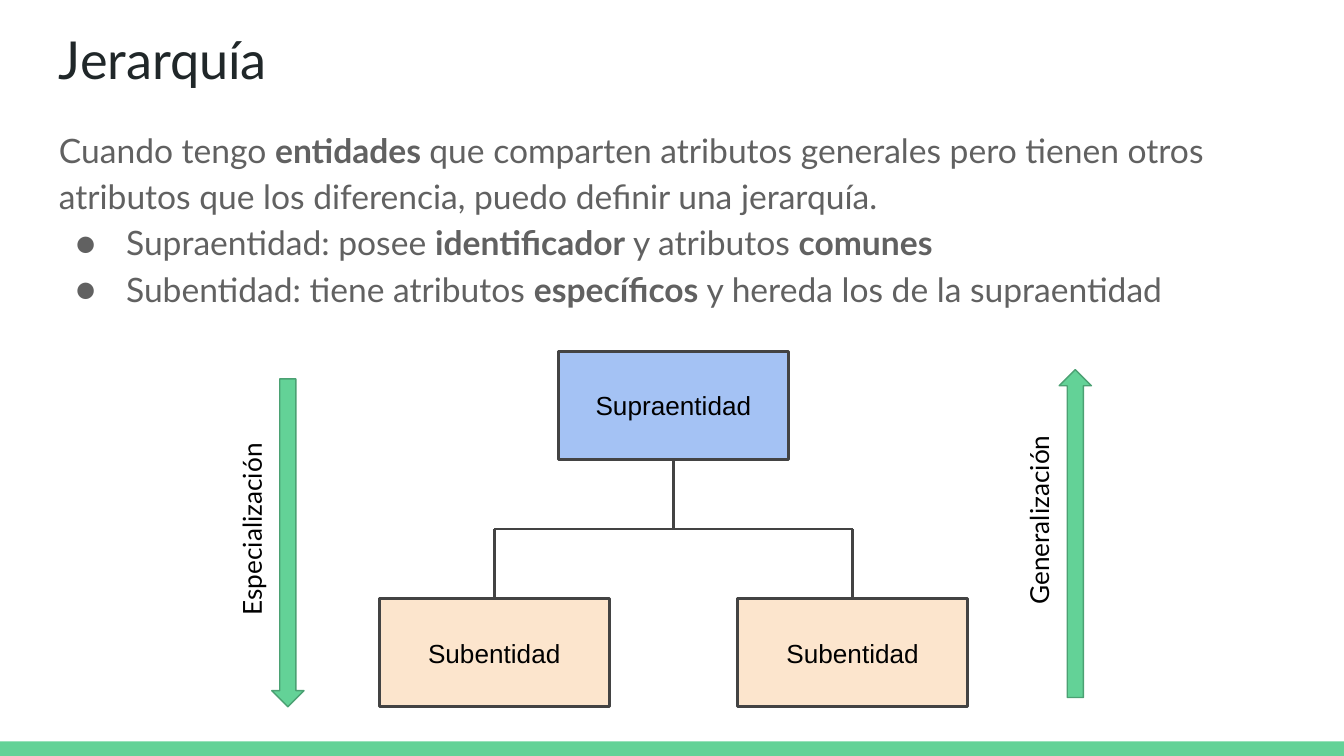
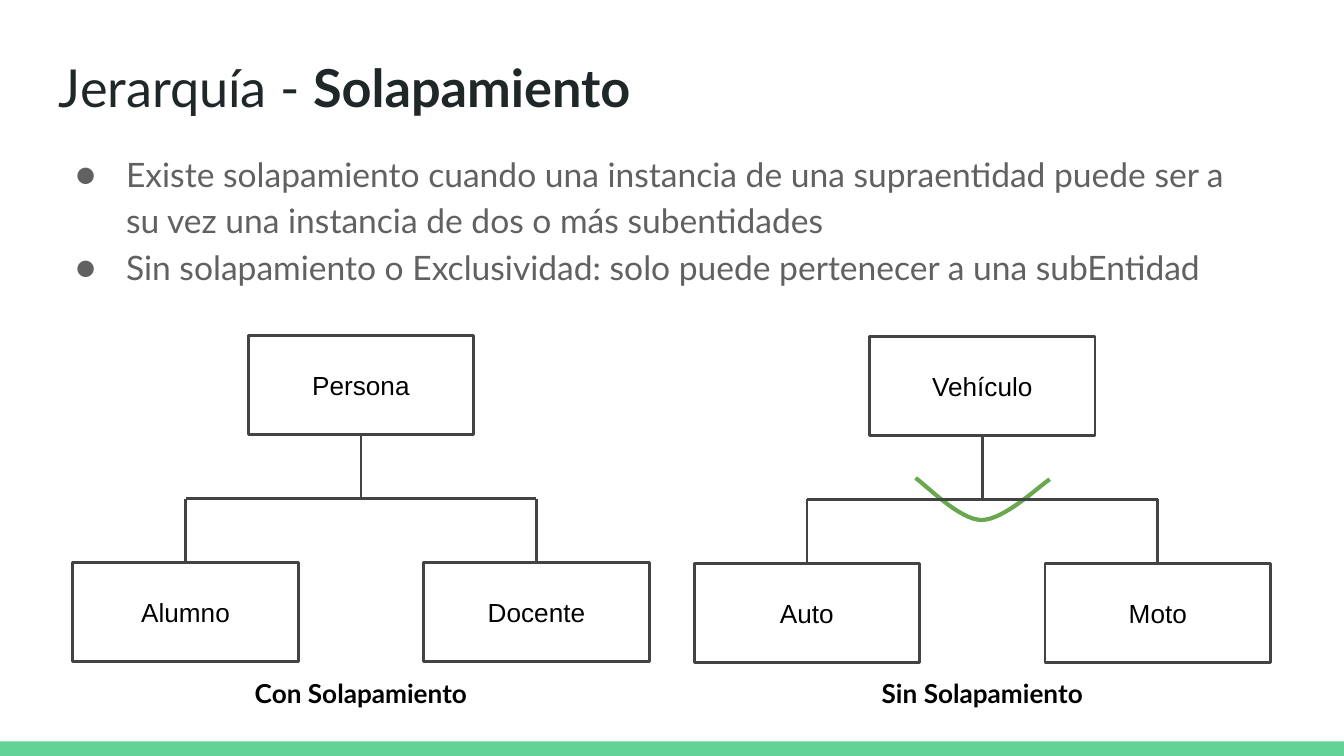
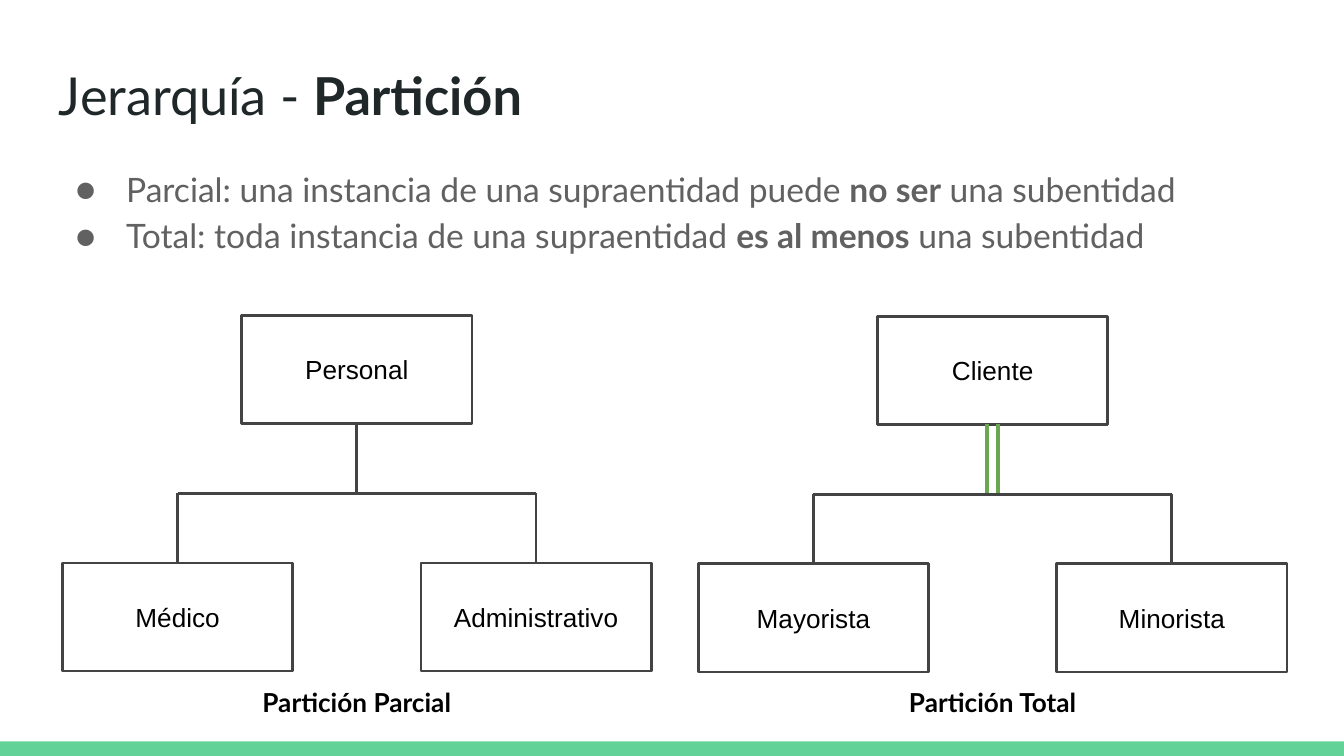
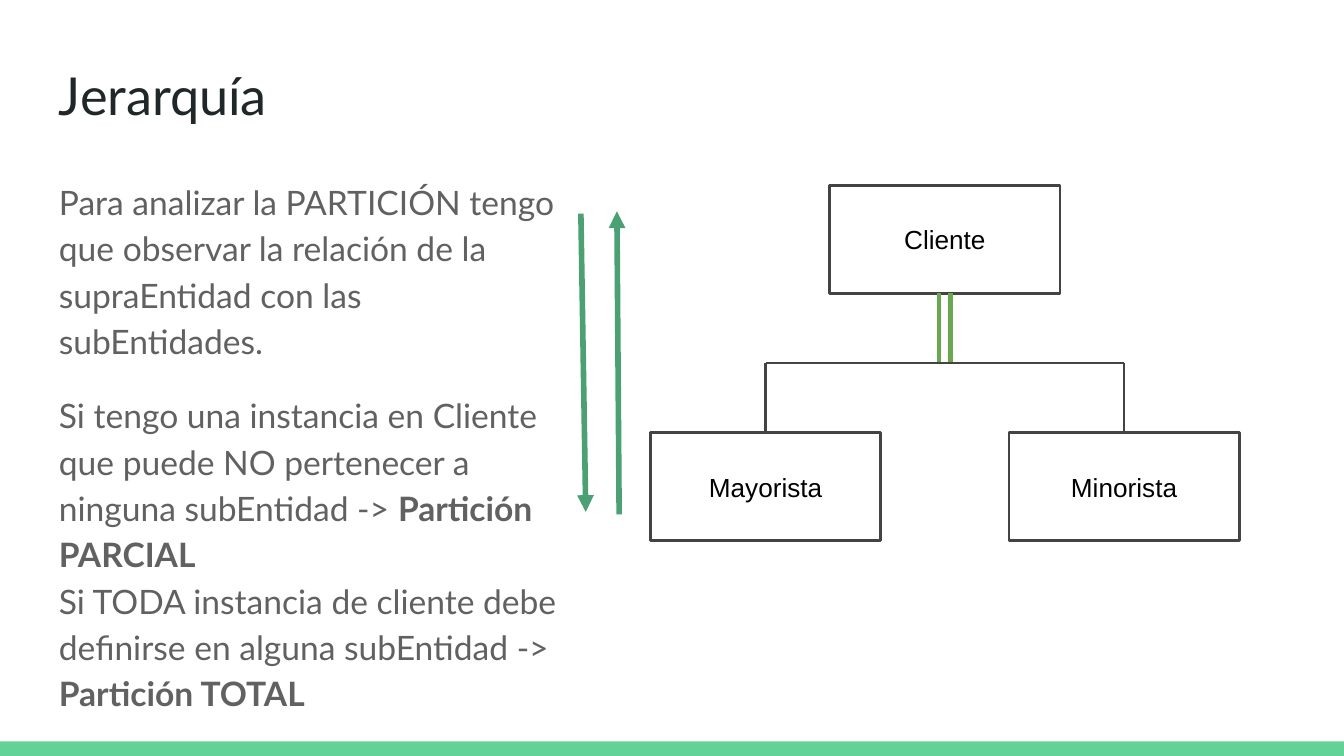
from lxml import etree
from pptx import Presentation
from pptx.dml.color import RGBColor
from pptx.enum.shapes import MSO_CONNECTOR, MSO_SHAPE
from pptx.enum.text import MSO_ANCHOR, PP_ALIGN
from pptx.oxml.ns import qn
from pptx.util import Pt

RECT = MSO_SHAPE.RECTANGLE
DOWN = MSO_SHAPE.DOWN_ARROW
LINE = MSO_CONNECTOR.STRAIGHT
MID = MSO_ANCHOR.MIDDLE
TOP = MSO_ANCHOR.TOP
LEFT = PP_ALIGN.LEFT
MIDDLE = PP_ALIGN.CENTER

WIDE, HIGH = 720, 405
EDGE = 24.5
LATO, ARIAL = "Lato", "Arial"
MINT, GREEN, LEAF = "63D297", "4BA173", "6AA84F"
INK, GREY, DARK, BLACK = "202729", "616161", "434343", "000000"
BLUE, PEACH = "A4C2F4", "FCE5CD"

BIG = (123.4, 57.9, 96, 132.6)
SMALL = (120.8, 53.2, 94, 121.6)


def color(code):
    return RGBColor.from_string(code)


class Deck:
    def __init__(self):
        self.file = Presentation()
        self.file.slide_width = Pt(WIDE)
        self.file.slide_height = Pt(HIGH)
        self.shapes = None

    def slide(self, title, top):
        self.shapes = self.file.slides.add_slide(self.file.slide_layouts[6]).shapes
        self.shape(RECT, 0, 397.2, WIDE, 7.8, MINT)
        frame = self.box(EDGE, top, 671, 45)
        self.put(frame.paragraphs[0], title, 28, INK)

    def shape(self, kind, x, y, w, h, fill=None, line=None, width=1.5):
        shape = self.shapes.add_shape(kind, Pt(x), Pt(y), Pt(w), Pt(h))
        self.paint(shape, fill, line, width)
        return shape

    def paint(self, shape, fill, line, width):
        shape.shadow.inherit = False
        if fill:
            shape.fill.solid()
            shape.fill.fore_color.rgb = color(fill)
        else:
            shape.fill.background()
        if line:
            shape.line.color.rgb = color(line)
            shape.line.width = Pt(width)
        else:
            shape.line.fill.background()

    def pad(self, frame, anchor=TOP):
        frame.word_wrap = True
        frame.vertical_anchor = anchor
        frame.margin_left = frame.margin_right = Pt(7.2)
        frame.margin_top = frame.margin_bottom = Pt(7.2)

    def box(self, x, y, w, h, turn=0):
        box = self.shapes.add_textbox(Pt(x), Pt(y), Pt(w), Pt(h))
        box.rotation = turn
        self.pad(box.text_frame)
        return box.text_frame

    def put(self, para, text, size, ink, font=LATO, align=LEFT):
        para.alignment = align
        for i, part in enumerate(text.split("**")):
            if part:
                run = para.add_run()
                run.text = part
                run.font.name = font
                run.font.size = Pt(size)
                run.font.bold = i % 2 == 1
                run.font.color.rgb = color(ink)

    def bullet(self, para):
        props = para._p.get_or_add_pPr()
        props.set("marL", str(Pt(36)))
        props.set("indent", str(Pt(-27)))
        tint = etree.SubElement(props, qn("a:buClr"))
        etree.SubElement(tint, qn("a:srgbClr"), val=GREY)
        etree.SubElement(props, qn("a:buFont"), typeface=LATO)
        etree.SubElement(props, qn("a:buChar"), char="●")

    def body(self, top, w, h, *items):
        frame = self.box(EDGE, top, w, h)
        for i, (text, dot, gap) in enumerate(items):
            para = frame.add_paragraph() if i else frame.paragraphs[0]
            if dot:
                self.bullet(para)
            para.line_spacing = 1.15
            para.space_before = Pt(gap)
            self.put(para, text, 18, GREY)

    def label(self, mid, y, w, h, text, turn=0):
        frame = self.box(mid - w / 2, y, w, h, turn)
        self.put(frame.paragraphs[0], text, 14, BLACK, align=MIDDLE)

    def line(self, x1, y1, x2, y2, ink=DARK, width=1.5, arrow=False):
        line = self.shapes.add_connector(LINE, Pt(x1), Pt(y1), Pt(x2), Pt(y2))
        line.line.color.rgb = color(ink)
        line.line.width = Pt(width)
        props = line._element.spPr
        if arrow:
            etree.SubElement(props.find(qn("a:ln")), qn("a:tailEnd"), type="triangle")
        etree.SubElement(props, qn("a:effectLst"))
        return line

    def node(self, mid, y, w, h, text, fill):
        node = self.shape(RECT, mid - w / 2, y, w, h, fill, DARK)
        self.pad(node.text_frame, MID)
        self.put(node.text_frame.paragraphs[0], text, 14, BLACK, ARIAL, MIDDLE)
        return node

    def tree(self, mid, y, size, names, fills=(None, None), total=False):
        w, h, side, drop = size
        root = self.node(mid, y, w, h, names[0], fills[0])
        bar = y + (h + drop) / 2
        if total:
            for x in (mid - 3, mid + 3):
                self.line(x, y + h, x, bar, LEAF, 2.25)
        else:
            self.line(mid, y + h, mid, bar).begin_connect(root, 2)
        self.line(mid - side, bar, mid + side, bar)
        for x, name in zip((mid - side, mid + side), names[1:]):
            leaf = self.node(x, y + drop, w, h, name, fills[1])
            self.line(x, bar, x, y + drop).end_connect(leaf, 0)

    def arrow(self, x, y, text, turn=0):
        w, h = 17.3, 175.7
        self.shape(DOWN, x, y, w, h, MINT, GREEN, 0.75).rotation = turn
        self.label(x + w / 2 - 15, y + h / 2 - 27.4, 168, 40.4, text, 270)

    def curve(self, start, *arcs):
        dots = []
        last = start
        for arc in arcs:
            a, b, c, d = last, *arc
            for i in range(1, 17):
                t = i / 16
                s = 1 - t
                dots.append(tuple(
                    Pt(s**3 * a[k] + 3 * s * s * t * b[k] + 3 * s * t * t * c[k] + t**3 * d[k])
                    for k in (0, 1)))
            last = d
        trace = self.shapes.build_freeform(Pt(start[0]), Pt(start[1]))
        trace.add_line_segments(dots, close=False)
        self.paint(trace.convert_to_shape(), None, LEAF, 2.25)


def main():
    deck = Deck()

    deck.slide("Jerarquía", 7.2)
    deck.body(
        59, 671, 39.6,
        ("Cuando tengo **entidades **que comparten atributos generales pero tienen otros "
         "atributos que los diferencia, puedo definir una jerarquía.", False, 0),
        ("Supraentidad: posee **identificador** y atributos **comunes**", True, 0),
        ("Subentidad: tiene atributos **específicos **y hereda los de la supraentidad", True, 0))
    deck.tree(360.8, 188.2, BIG, ("Supraentidad", "Subentidad", "Subentidad"), (BLUE, PEACH))
    deck.arrow(145.6, 203, "Especialización")
    deck.arrow(567.4, 198, "Generalización", 180)

    deck.slide("Jerarquía - **Solapamiento**", 22.3)
    deck.body(
        72, 656, 39.6,
        ("Existe solapamiento cuando una instancia de una supraentidad puede ser a su vez "
         "una instancia de dos o más subentidades", True, 0),
        ("Sin solapamiento o Exclusividad: solo puede pertenecer a una subEntidad", True, 0))
    deck.curve(
        (490.5, 256.1),
        ((496.1, 259.9), (514.1, 278.6), (525.9, 278.6)),
        ((537.8, 278.6), (556.6, 260.6), (562.4, 256.8)))
    deck.tree(193.4, 179.8, SMALL, ("Persona", "Alumno", "Docente"))
    deck.tree(526.3, 180.2, SMALL, ("Vehículo", "Auto", "Moto"))
    deck.label(193.4, 355.7, 147, 36.7, "**Con Solapamiento**")
    deck.label(526.3, 355.7, 147, 36.7, "**Sin Solapamiento**")

    deck.slide("Jerarquía - **Partición**", 26.7)
    deck.body(
        80, 630, 39.6,
        ("Parcial: una instancia de una supraentidad puede** no ser** una subentidad", True, 0),
        ("Total: toda instancia de una supraentidad **es al menos** una subentidad", True, 0))
    deck.tree(191.2, 169, BIG, ("Personal", "Médico", "Administrativo"))
    deck.tree(531.8, 169.5, BIG, ("Cliente", "Mayorista", "Minorista"), total=True)
    deck.label(191.2, 360.7, 150, 40.3, "**Partición Parcial**")
    deck.label(531.8, 360.7, 150, 40.3, "**Partición Total**")

    deck.slide("Jerarquía", 26.7)
    deck.body(
        87, 281, 134,
        ("Para analizar la PARTICIÓN tengo que observar la relación de la supraEntidad "
         "con las subEntidades.", False, 0),
        ("Si tengo una instancia en Cliente que puede NO pertenecer a ninguna subEntidad "
         "-> **Partición PARCIAL**", False, 15),
        ("Si TODA instancia de cliente debe definirse en alguna subEntidad "
         "-> **Partición TOTAL**", False, 0))
    deck.tree(506.2, 99.2, BIG, ("Cliente", "Mayorista", "Minorista"), total=True)
    deck.line(311.2, 114.5, 313.8, 274.3, GREEN, 3, True)
    deck.line(331.7, 275.6, 330.5, 113.2, GREEN, 3, True)

    deck.file.save("out.pptx")


if __name__ == "__main__":
    main()
